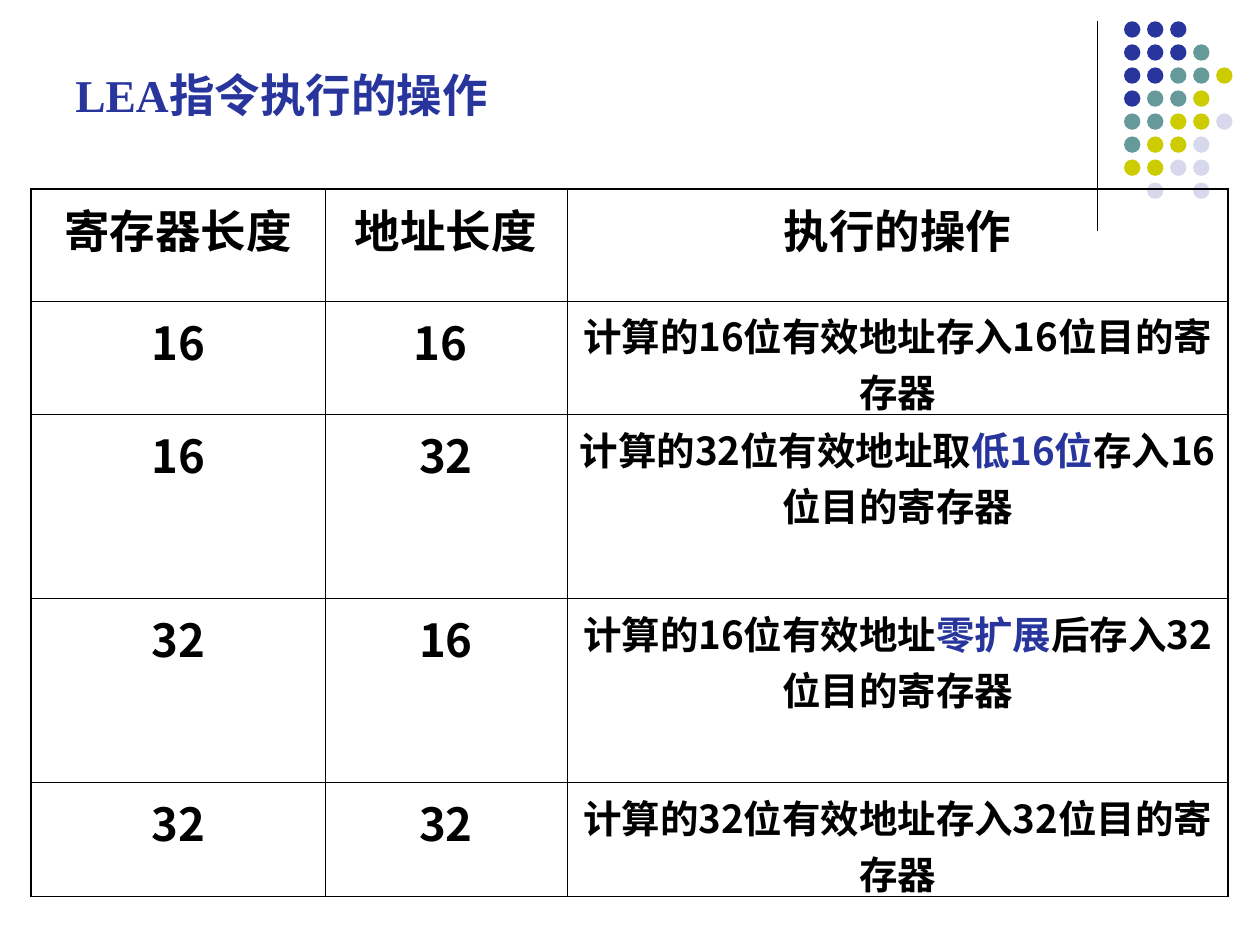
from dataclasses import dataclass
from lxml.etree import SubElement
from pptx import Presentation
from pptx.dml.color import RGBColor
from pptx.enum.shapes import MSO_CONNECTOR, MSO_SHAPE
from pptx.enum.text import MSO_ANCHOR, PP_ALIGN
from pptx.oxml.ns import qn
from pptx.util import Cm, Pt


@dataclass(frozen=True)
class Theme:
    blue: RGBColor = RGBColor.from_string("27359D")
    teal: RGBColor = RGBColor.from_string("669999")
    lime: RGBColor = RGBColor.from_string("CCCC00")
    pale: RGBColor = RGBColor.from_string("D8D8EC")
    black: RGBColor = RGBColor.from_string("000000")
    large: int = 26
    small: int = 22
    serif: str = "Times New Roman"
    sans: str = "Noto Sans CJK SC"


theme = Theme()


def style(p, size, color, name):
    p.font.size = Pt(size)
    p.font.bold = True
    p.font.color.rgb = color
    p.font.name = name
    SubElement(p.font._rPr, qn("a:ea"), typeface=theme.sans)


def border(cell, side, width):
    ln = SubElement(cell._tc.get_or_add_tcPr(), qn(f"a:ln{side}"), w=str(Pt(width)))
    fill = SubElement(ln, qn("a:solidFill"))
    SubElement(fill, qn("a:srgbClr"), val=str(theme.black))


prs = Presentation()
prs.slide_width, prs.slide_height = Cm(25.4), Cm(19.05)
s = prs.slides.add_slide(prs.slide_layouts[6])

line = s.shapes.add_connector(MSO_CONNECTOR.STRAIGHT, Cm(22.12), Cm(0.43), Cm(22.12), Cm(4.65))
line.line.color.rgb = theme.black
line.line.width = Pt(0.75)
SubElement(line._element.spPr, qn("a:effectLst"))

dot_colors = {"B": theme.blue, "T": theme.teal, "L": theme.lime, "P": theme.pale}
dot_rows = ["BBB", "BBBT", "BBTTL", "BTTL", "TTLLP", "TLLP", "LLPP", " P P"]
pitch = 3.25 / 7
dots = s.shapes.add_group_shape()
for i, row in enumerate(dot_rows):
    for j, key in enumerate(row):
        if key in dot_colors:
            dot = dots.shapes.add_shape(
                MSO_SHAPE.OVAL, Cm(22.66 + j * pitch), Cm(0.43 + i * pitch), Cm(0.33), Cm(0.33))
            dot.shadow.inherit = False
            dot.fill.solid()
            dot.fill.fore_color.rgb = dot_colors[key]
            dot.line.fill.background()

title = s.shapes.add_textbox(Cm(1.27), Cm(1.12), Cm(20.95), Cm(1.45))
tf = title.text_frame
tf.word_wrap = True
tf.vertical_anchor = MSO_ANCHOR.BOTTOM
p = tf.paragraphs[0]
p.add_run().text = "LEA指令执行的操作"
style(p, theme.large, theme.blue, theme.serif)

rows = [
    ("寄存器长度", "地址长度", ["执行的操作"]),
    ("16", "16 ", ["计算的16位有效地址存入16位目的寄存器"]),
    ("16", "32", ["计算的32位有效地址取", "低16位", "存入16位目的寄存器"]),
    ("32", "16", ["计算的16位有效地址", "零扩展", "后存入32位目的寄存器"]),
    ("32", "32", ["计算的32位有效地址存入32位目的寄存器"]),
]
widths = [5.92, 4.88, 13.33]
heights = [2.26, 2.29, 3.71, 3.71, 2.29]
table = s.shapes.add_table(
    len(rows), len(widths), Cm(0.63), Cm(3.81), Cm(sum(widths)), Cm(sum(heights))).table
table.first_row = table.horz_banding = False
for column, width in zip(table.columns, widths):
    column.width = Cm(width)
for i, (row, height) in enumerate(zip(rows, heights)):
    table.rows[i].height = Cm(height)
    for j, content in enumerate(row):
        cell = table.cell(i, j)
        outer = {"L": j == 0, "R": j == len(widths) - 1, "T": i == 0, "B": i == len(rows) - 1}
        for side, is_outer in outer.items():
            border(cell, side, 1.08 if is_outer else 0.45)
        cell.fill.background()
        size = theme.small if i and j == 2 else theme.large
        p = cell.text_frame.paragraphs[0]
        p.alignment = PP_ALIGN.CENTER
        p.space_before = Pt(size / 4)
        style(p, size, theme.black, theme.sans)
        for k, text in enumerate(content if j == 2 else [content]):
            r = p.add_run()
            r.text = text
            if k == 1:
                r.font.color.rgb = theme.blue

prs.save("out.pptx")
